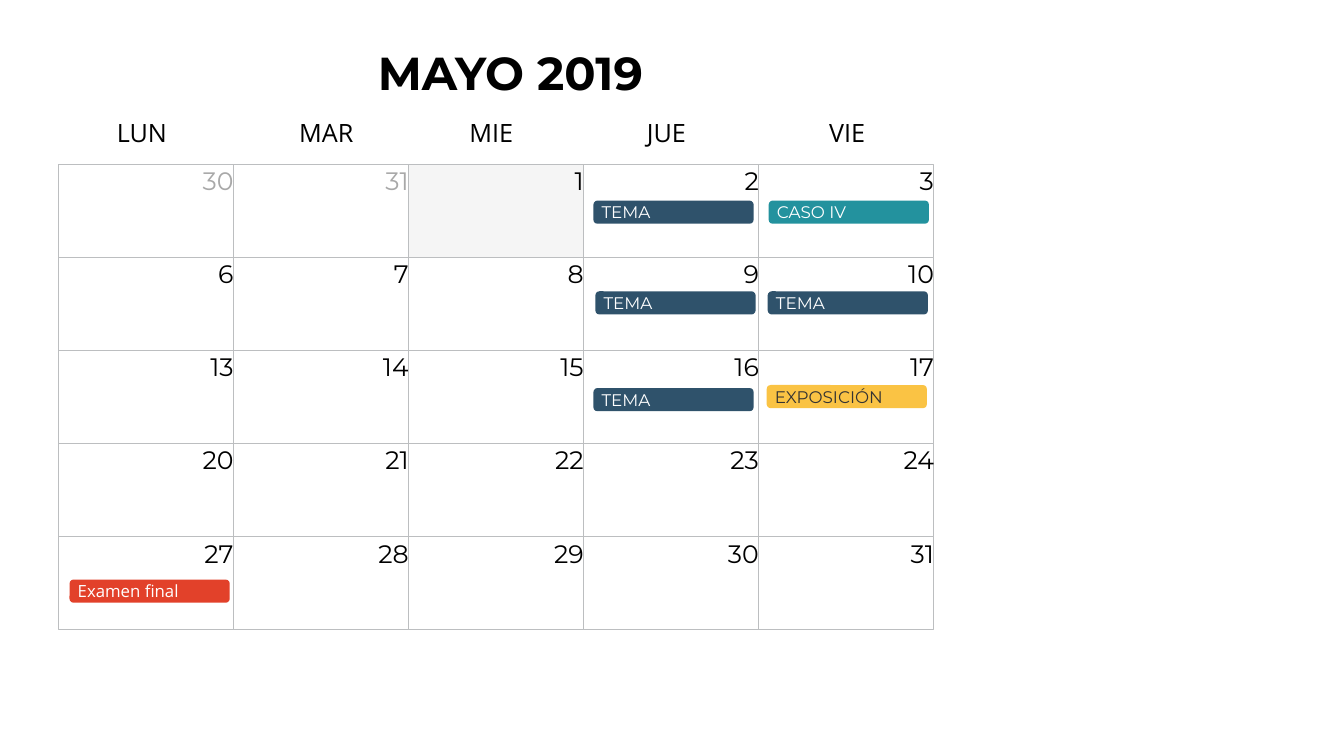
from pptx import Presentation
from pptx.dml.color import RGBColor
from pptx.enum.shapes import MSO_SHAPE as Kind
from pptx.enum.text import MSO_ANCHOR as Anchor, MSO_AUTO_SIZE as Auto, PP_ALIGN as Align
from pptx.util import Inches, Pt

MONTH = ("MAYO 2019", 3.75, 0.44, 2.67, 0.55)
DAYS = [("LUN", 1.16, 0.5), ("MAR", 2.97, 0.54), ("MIE", 4.66, 0.44),
        ("JUE", 6.42, 0.39), ("VIE", 8.23, 0.36)]
WEEKS = [
    (30, 31, 1, 2, 3),
    (6, 7, 8, 9, 10),
    (13, 14, 15, 16, 17),
    (20, 21, 22, 23, 24),
    (27, 28, 29, 30, 31),
]
PAST = {(0, 0), (0, 1)}
SHADED = {(0, 2)}
NAVY, TEAL, GOLD, RED = "2F526B", "23929E", "FAC344", "E2412A"
WHITE, BLACK, DARK, GREY = "FFFFFF", "000000", "333333", "A8A8A8"
EVENTS = [
    ("Examen final", 0.69, 5.75, RED, WHITE, "Open Sans"),
    ("TEMA", 5.89, 1.99, NAVY, WHITE, "Montserrat"),
    ("CASO IV", 7.63, 1.99, TEAL, WHITE, "Montserrat"),
    ("TEMA", 5.91, 2.89, NAVY, WHITE, "Montserrat"),
    ("EXPOSICIÓN", 7.61, 3.82, GOLD, DARK, "Montserrat"),
    ("TEMA", 5.89, 3.85, NAVY, WHITE, "Montserrat"),
    ("TEMA", 7.62, 2.89, NAVY, WHITE, "Montserrat"),
]
LEFT, TOP, RIGHT, BOTTOM = 0.58, 1.63, 9.27, 6.25
BAR_W, BAR_H, RADIUS = 1.59, 0.23, 0.04


def color(code):
    return RGBColor.from_string(code)


def write(shape, text, face, size, ink, bold=False, align=Align.LEFT, **frame):
    box = shape.text_frame
    format = {"margin_left": 0, "margin_top": 0, "margin_right": 0, "margin_bottom": 0,
              "word_wrap": False, "vertical_anchor": Anchor.TOP, **frame}
    for name, value in format.items():
        setattr(box, name, value)
    line = box.paragraphs[0]
    line.alignment = align
    run = line.add_run()
    run.text = text
    for name, value in {"name": face, "size": Pt(size), "bold": bold}.items():
        setattr(run.font, name, value)
    run.font.color.rgb = color(ink)


def label(slide, text, x, y, w, h, *style, **more):
    box = slide.shapes.add_textbox(*map(Inches, (x, y, w, h)))
    write(box, text, *style, auto_size=Auto.SHAPE_TO_FIT_TEXT, **more)


def block(slide, kind, x, y, w, h, fill, edge=None):
    shape = slide.shapes.add_shape(kind, *map(Inches, (x, y, w, h)))
    shape.shadow.inherit = False
    shape.fill.solid()
    shape.fill.fore_color.rgb = color(fill)
    if edge:
        shape.line.color.rgb = color(edge)
        shape.line.width = Pt(0.75)
    else:
        shape.line.fill.background()
    return shape


def main():
    """Build the month calendar with its events."""
    deck = Presentation()
    deck.slide_width, deck.slide_height = Inches(13.34), Inches(7.5)
    slide = deck.slides.add_slide(deck.slide_layouts[6])

    label(slide, *MONTH, "Montserrat", 33, BLACK, bold=True)
    for day, x, w in DAYS:
        label(slide, day, x, 1.16, w, 0.3, "Open Sans", 18, BLACK)

    wide = (RIGHT - LEFT) / len(DAYS)
    high = (BOTTOM - TOP) / len(WEEKS)
    for row, week in enumerate(WEEKS):
        for col, date in enumerate(week):
            fill = "F5F5F5" if (row, col) in SHADED else WHITE
            ink = GREY if (row, col) in PAST else BLACK
            cell = block(slide, Kind.RECTANGLE, LEFT + col * wide, TOP + row * high,
                         wide, high, fill, "BCBEC0")
            write(cell, str(date), "Montserrat", 18, ink, align=Align.RIGHT,
                  margin_top=Inches(0.01), word_wrap=True)

    for text, x, y, fill, ink, face in EVENTS:
        bar = block(slide, Kind.ROUNDED_RECTANGLE, x, y, BAR_W, BAR_H, fill)
        bar.adjustments[0] = RADIUS / BAR_H
        write(bar, text, face, 12, ink, margin_left=Inches(0.07),
              vertical_anchor=Anchor.MIDDLE, word_wrap=True)

    deck.save("out.pptx")


if __name__ == "__main__":
    main()
